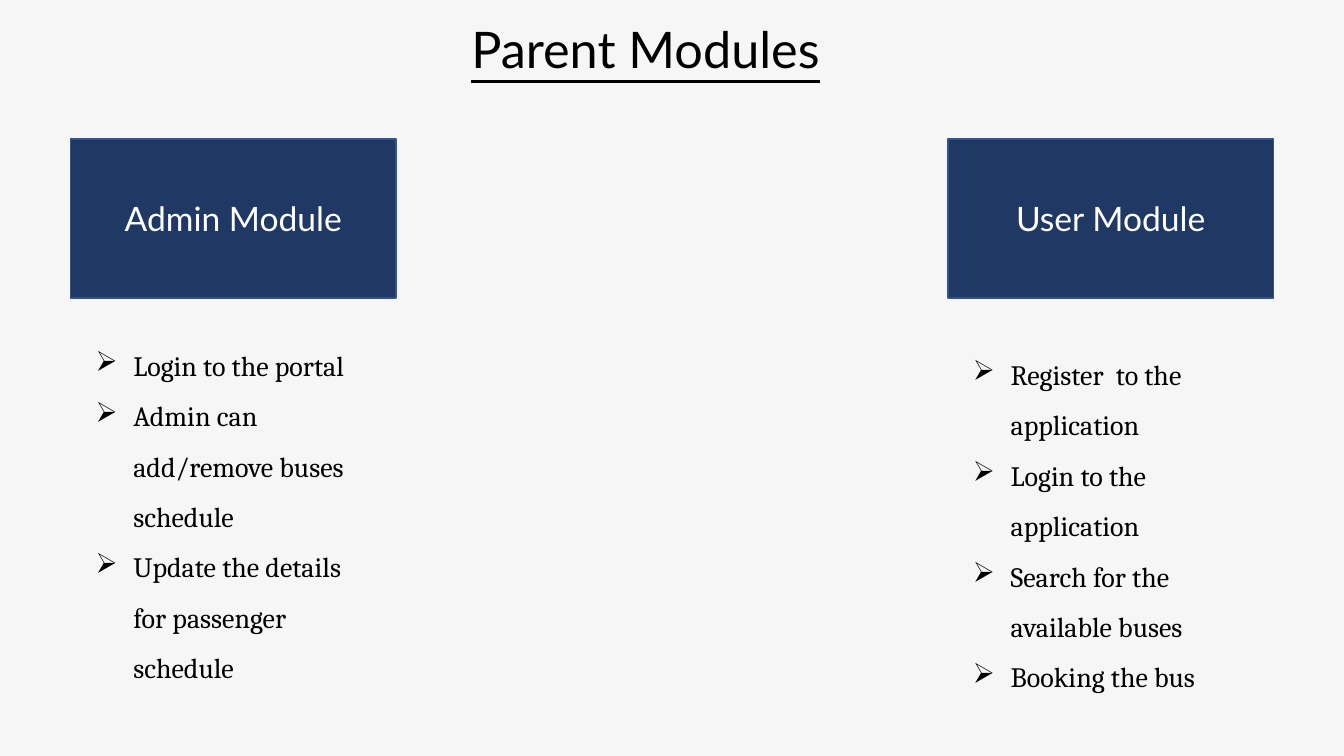
"""Build the Parent Modules slide with its admin and user columns."""
from dataclasses import dataclass

from lxml.etree import SubElement
from pptx import Presentation
from pptx.dml.color import RGBColor
from pptx.enum.shapes import MSO_SHAPE
from pptx.enum.text import MSO_ANCHOR, PP_ALIGN
from pptx.oxml.ns import qn
from pptx.util import Cm, Pt

TITLE = "Parent Modules"
MODULES = [
    {
        "name": "Admin Module",
        "list_top": 8.23,
        "list_height": 10.08,
        "tasks": [
            "Login to the portal",
            "Admin can add/remove buses schedule",
            "Update the details for passenger schedule",
        ],
    },
    {
        "name": "User Module",
        "list_top": 8.46,
        "list_height": 9.07,
        "tasks": [
            "Register  to the application",
            "Login to the application",
            "Search for the available buses",
            "Booking the bus",
        ],
    },
]

SLIDE_WIDTH, SLIDE_HEIGHT = 33.87, 19.05
TITLE_BOX = (11.63, 0.33, 20.45, 1.8)
UNDERLINE_LENGTH = 9.45
MARGIN, CARD_TOP, CARD_WIDTH, CARD_HEIGHT = 1.78, 3.5, 8.2, 4.01
LIST_INSET, BULLET_INDENT = 0.38, 0.95


@dataclass(frozen=True)
class Theme:
    background: RGBColor = RGBColor(0xF6, 0xF6, 0xF6)
    card: RGBColor = RGBColor(0x20, 0x38, 0x64)
    border: RGBColor = RGBColor(0x32, 0x54, 0x91)
    dark: RGBColor = RGBColor(0, 0, 0)
    light: RGBColor = RGBColor(0xFF, 0xFF, 0xFF)
    heading_font: str = "Lato"
    list_font: str = "Cambria"
    title_size: int = 36
    card_size: int = 24
    list_size: int = 20


THEME = Theme()


def set_font(paragraph, name, size, color):
    paragraph.font.name = name
    paragraph.font.size = Pt(size)
    paragraph.font.color.rgb = color


def add_text_frame(slide, left, top, width, height):
    box = slide.shapes.add_textbox(Cm(left), Cm(top), Cm(width), Cm(height))
    box.text_frame.word_wrap = True
    return box.text_frame


def add_title(slide):
    paragraph = add_text_frame(slide, *TITLE_BOX).paragraphs[0]
    paragraph.add_run().text = TITLE + "\t"
    tabs = SubElement(paragraph._p.get_or_add_pPr(), qn("a:tabLst"))
    SubElement(tabs, qn("a:tab"), pos=str(Cm(UNDERLINE_LENGTH)), algn="l")
    set_font(paragraph, THEME.heading_font, THEME.title_size, THEME.dark)
    paragraph.font.underline = True


def add_card(slide, left, name):
    shape = slide.shapes.add_shape(
        MSO_SHAPE.RECTANGLE, Cm(left), Cm(CARD_TOP), Cm(CARD_WIDTH), Cm(CARD_HEIGHT)
    )
    shape.shadow.inherit = False
    shape.fill.solid()
    shape.fill.fore_color.rgb = THEME.card
    shape.line.color.rgb = THEME.border
    shape.line.width = Pt(1)
    shape.text_frame.vertical_anchor = MSO_ANCHOR.MIDDLE
    paragraph = shape.text_frame.paragraphs[0]
    paragraph.text = name
    paragraph.alignment = PP_ALIGN.CENTER
    set_font(paragraph, THEME.heading_font, THEME.card_size, THEME.light)


def add_tasks(slide, left, module):
    frame = add_text_frame(
        slide, left + LIST_INSET, module["list_top"],
        CARD_WIDTH - 2 * LIST_INSET, module["list_height"],
    )
    for index, task in enumerate(module["tasks"]):
        paragraph = frame.add_paragraph() if index else frame.paragraphs[0]
        paragraph.text = task
        paragraph.line_spacing = 1.5
        properties = paragraph._p.get_or_add_pPr()
        properties.set("marL", str(Cm(BULLET_INDENT)))
        properties.set("indent", str(-Cm(BULLET_INDENT)))
        SubElement(properties, qn("a:buChar"), char="➢")
        set_font(paragraph, THEME.list_font, THEME.list_size, THEME.dark)


def main():
    presentation = Presentation()
    presentation.slide_width = Cm(SLIDE_WIDTH)
    presentation.slide_height = Cm(SLIDE_HEIGHT)
    slide = presentation.slides.add_slide(presentation.slide_layouts[6])
    slide.background.fill.solid()
    slide.background.fill.fore_color.rgb = THEME.background
    add_title(slide)
    step = (SLIDE_WIDTH - 2 * MARGIN - CARD_WIDTH) / (len(MODULES) - 1)
    for index, module in enumerate(MODULES):
        left = MARGIN + index * step
        add_card(slide, left, module["name"])
        add_tasks(slide, left, module)
    presentation.save("out.pptx")


if __name__ == "__main__":
    main()
